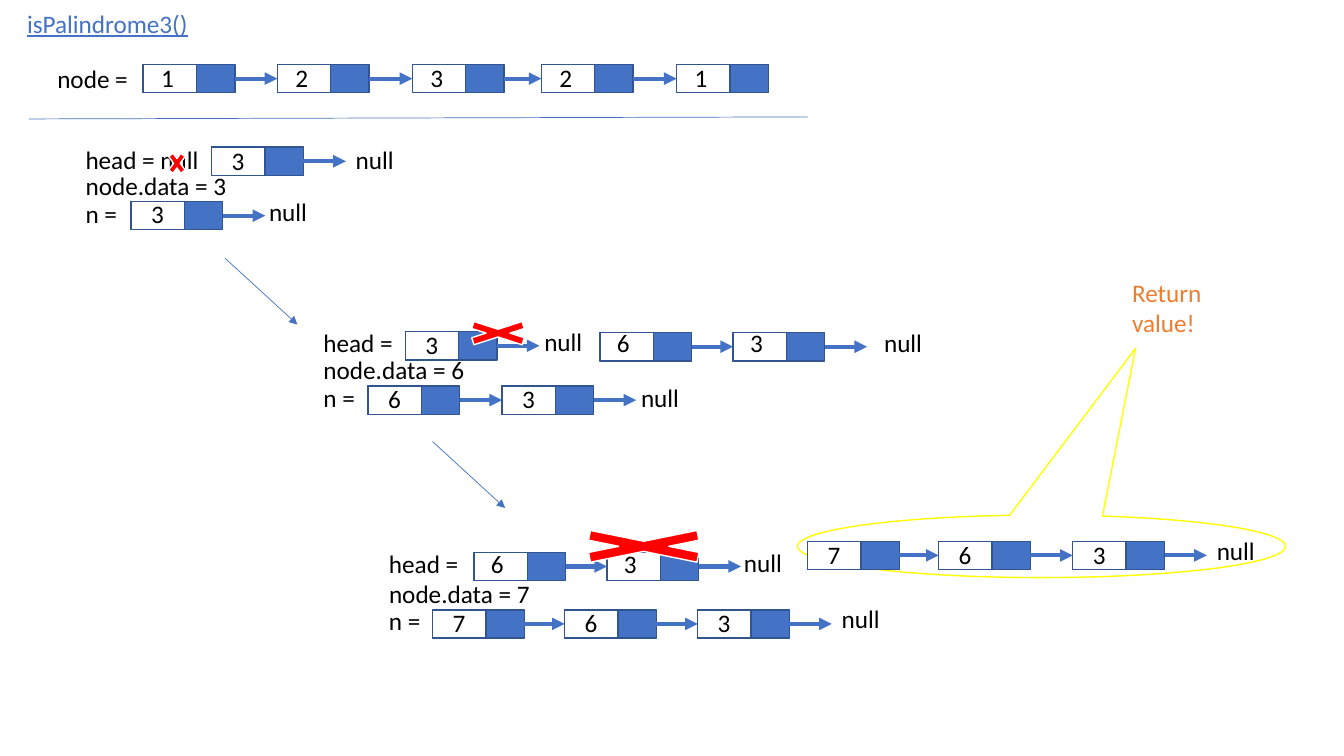
from pptx import Presentation
from pptx.dml.color import RGBColor
from pptx.enum.shapes import MSO_CONNECTOR, MSO_SHAPE
from pptx.enum.text import MSO_AUTO_SIZE
from pptx.oxml.ns import qn
from pptx.util import Inches, Pt
from lxml.etree import SubElement

COLORS = {
    "text": "000000", "blue": "4472C4", "edge": "325491", "white": "FFFFFF",
    "red": "FF0000", "yellow": "FFFF00", "orange": "ED7D31",
}
NODE_W, DATA_W, NODE_H = 0.91, 0.53, 0.28
ARROW_LEN = 0.42
LABEL_H = 0.4

# Each step: label left, tops of its three labels, head text, data, n text
STEPS = [
    (0.75, (1.38, 1.64, 1.92), "head = null", 3),
    (3.11, (3.2, 3.47, 3.74), "head =", 6),
    (3.76, (5.39, 5.69, 5.96), "head =", 7),
]
# Each list: top, digit offset (x, y), nodes (value, left), null (left, top)
LISTS = [
    (0.64, (0.08, -0.07), [(1, 1.42), (2, 2.75), (3, 4.09), (2, 5.37), (1, 6.71)], None),
    (1.46, (0.1, -0.07), [(3, 2.1)], (3.43, 1.38)),
    (2.0, (0.1, -0.08), [(3, 1.3)], (2.57, 1.9)),
    (3.29, (0.1, -0.07), [(3, 4.02)], (5.3, 3.19)),
    (3.3, (0.07, -0.1), [(6, 5.95), (3, 7.27)], (8.67, 3.2)),
    (3.83, (0.1, -0.08), [(6, 3.65), (3, 4.98)], (6.26, 3.74)),
    (5.48, (0.07, -0.09), [(6, 4.7), (3, 6.02)], (7.28, 5.38)),
    (6.05, (0.1, -0.07), [(7, 4.29), (6, 5.6), (3, 6.92)], (8.25, 5.94)),
    (5.37, (0.1, -0.07), [(7, 8.01), (6, 9.31), (3, 10.64)], (11.97, 5.26)),
]
# Crosses over the replaced heads: left, top, width, height
CROSSES = [(1.64, 1.46, 0.23, 0.32), (4.46, 3.15, 0.96, 0.31), (5.35, 5.21, 2.07, 0.42)]
STEP_ARROWS = [(2.23, 2.56), (4.29, 4.38)]


def rgb(name):
    return RGBColor.from_string(COLORS[name])


def add_label(slide, text, left, top, width, color="text", height=LABEL_H, underline=None):
    label = slide.shapes.add_textbox(*map(Inches, (left, top, width, height)))
    frame = label.text_frame
    frame.word_wrap = True
    frame.auto_size = MSO_AUTO_SIZE.SHAPE_TO_FIT_TEXT
    frame.text = text
    font = frame.paragraphs[0].runs[0].font
    font.name, font.size, font.underline = "Calibri", Pt(18), underline
    font.color.rgb = rgb(color)


def add_figure(slide, kind, box, fill, line):
    figure = slide.shapes.add_shape(kind, *map(Inches, box))
    figure.shadow.inherit = False
    if fill:
        figure.fill.solid()
        figure.fill.fore_color.rgb = rgb(fill)
    else:
        figure.fill.background()
    figure.line.color.rgb = rgb(line)
    figure.line.width = Pt(1)
    return figure


def add_line(slide, start, end, weight, arrow=True):
    line = slide.shapes.add_connector(MSO_CONNECTOR.STRAIGHT, *map(Inches, (*start, *end)))
    line.line.color.rgb = rgb("blue")
    line.line.width = Pt(weight)
    if arrow:
        SubElement(line.line._get_or_add_ln(), qn("a:tailEnd"), type="triangle")
    SubElement(line._element.spPr, qn("a:effectLst"))


def add_node(slide, value, left, top, digit_offset):
    for width, fill in ((NODE_W, "blue"), (DATA_W, "white")):
        add_figure(slide, MSO_SHAPE.RECTANGLE, (left, top, width, NODE_H), fill, "edge")
    dx, dy = digit_offset
    add_label(slide, str(value), left + dx, top + dy, 0.39)


def add_linked_list(slide, top, digit_offset, nodes, null):
    for value, left in nodes:
        add_node(slide, value, left, top, digit_offset)

    # Pointers run to the next node, the last one to null
    middle = top + NODE_H / 2
    ends = [left for _, left in nodes[1:]]
    if null:
        ends.append(nodes[-1][1] + NODE_W + ARROW_LEN)
        add_label(slide, "null", *null, 1.46)
    for (_, left), end in zip(nodes, ends):
        add_line(slide, (left + NODE_W, middle), (end, middle), 3)


def add_step_labels(slide, left, tops, head, data):
    texts = (head, f"node.data = {data}", "n =")
    for text, top, width in zip(texts, tops, (1.46, 1.69, 1.17)):
        add_label(slide, text, left, top, width)


def main():
    prs = Presentation()
    prs.slide_width, prs.slide_height = Inches(13.33), Inches(7.5)
    slide = prs.slides.add_slide(prs.slide_layouts[6])

    # Title and input list
    add_label(slide, "isPalindrome3()", 0.17, 0.03, 2.66, "blue", underline=True)
    add_label(slide, "node =", 0.47, 0.58, 0.94)
    add_line(slide, (0.29, 1.18), (8.01, 1.16), 0.5, arrow=False)

    # Return value callout
    callout = add_figure(slide, MSO_SHAPE.OVAL_CALLOUT, (7.91, 5.11, 4.84, 0.62), None, "yellow")
    callout.adjustments[0], callout.adjustments[1] = 0.193, -3.171
    add_label(slide, "Return value!", 11.13, 2.7, 1.17, "orange", height=0.71)

    # Steps and their lists
    for step in STEPS:
        add_step_labels(slide, *step)
    for linked_list in LISTS:
        add_linked_list(slide, *linked_list)
    for x, y in STEP_ARROWS:
        add_line(slide, (x, y), (x + 0.72, y + 0.66), 0.5)

    # Replaced heads
    for cross in CROSSES:
        add_figure(slide, MSO_SHAPE.MATH_MULTIPLY, cross, "red", "white")

    prs.save("out.pptx")


main()
